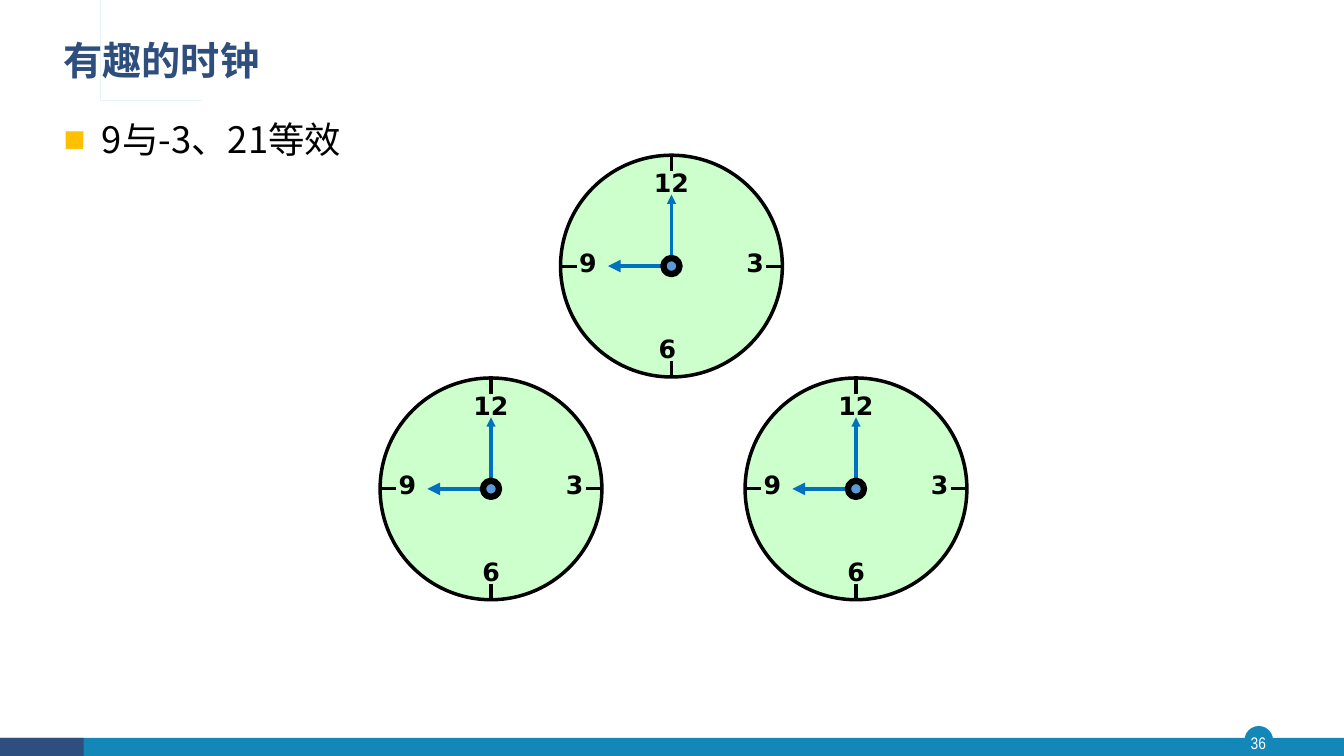
from lxml.etree import SubElement
from pptx import Presentation
from pptx.dml.color import RGBColor
from pptx.enum.shapes import MSO_CONNECTOR, MSO_SHAPE
from pptx.enum.text import MSO_ANCHOR, MSO_AUTO_SIZE, PP_ALIGN
from pptx.oxml.ns import qn
from pptx.util import Inches, Pt

BLACK, HAND, TEAL, NAVY = "000000", "0070C0", "1387B7", "2E4E7E"
CJK = "Noto Sans CJK SC"
CLOCK_SIZE = 2.2


def rgb(value):
    return RGBColor.from_string(value)


def write(tf, text, size, font, color, bold=False, align=PP_ALIGN.LEFT,
          anchor=MSO_ANCHOR.TOP, inset=None):
    tf.word_wrap = True
    tf.auto_size = MSO_AUTO_SIZE.NONE
    tf.vertical_anchor = anchor
    if inset is not None:
        tf.margin_left = tf.margin_right = Inches(inset)
        tf.margin_top = tf.margin_bottom = Inches(inset)
    p = tf.paragraphs[0]
    p.alignment = align
    r = p.add_run()
    r.text = text
    r.font.size, r.font.name, r.font.bold = Pt(size), font, bold
    r.font.color.rgb = rgb(color)
    SubElement(r.font._element, qn("a:ea"), typeface=font)
    return p


def add_label(slide, text, x, y, w, h, **style):
    sp = slide.shapes.add_textbox(Inches(x), Inches(y), Inches(w), Inches(h))
    write(sp.text_frame, text, **style)


def paint(sp, fill, line=None, width=1):
    sp.shadow.inherit = False
    sp.fill.solid()
    sp.fill.fore_color.rgb = rgb(fill)
    if line:
        sp.line.color.rgb = rgb(line)
        sp.line.width = Pt(width)
    else:
        sp.line.fill.background()


def add_shape(slide, kind, x, y, w, h, fill, **line):
    sp = slide.shapes.add_shape(kind, Inches(x), Inches(y), Inches(w), Inches(h))
    paint(sp, fill, **line)


def add_line(slide, x1, y1, x2, y2, color, width, arrow=False):
    line = slide.shapes.add_connector(
        MSO_CONNECTOR.STRAIGHT, Inches(x1), Inches(y1), Inches(x2), Inches(y2))
    line.line.color.rgb = rgb(color)
    line.line.width = Pt(width)
    if arrow:
        SubElement(line.line._get_or_add_ln(), qn("a:tailEnd"), type="triangle")
    SubElement(line._element.spPr, qn("a:effectLst"))


def add_footer(slide, x, y, w, h, number):
    add_shape(slide, MSO_SHAPE.OVAL, x + 12.35, y - 0.11, 0.27, 0.27, TEAL, line=TEAL)
    add_shape(slide, MSO_SHAPE.RECTANGLE, x, y, w, h, TEAL)
    add_shape(slide, MSO_SHAPE.RECTANGLE, x, y, 0.83, h, NAVY)
    add_label(slide, number, x + 12.32, y - 0.11, 0.32, 0.31, size=12,
              font="Arial Narrow", color="FFFFFF", align=PP_ALIGN.CENTER,
              anchor=MSO_ANCHOR.MIDDLE, inset=0)


def add_title_mark(slide, x, y):
    outline = [(0.18, 0), (0.18, 0.46), (1.52, 0.46), (1.52, 0.48), (0.16, 0.48),
               (0.16, 0.02), (0.11, 0.02), (0.11, 0.48), (0, 0.48), (0, 0),
               (0.03, 0), (0.03, 0.45), (0.08, 0.45), (0.08, 0)]
    points = [(x + dx, y + dy) for dx, dy in outline]
    builder = slide.shapes.build_freeform(*points[0], scale=Inches(1))
    builder.add_line_segments(points[1:], close=True)
    paint(builder.convert_to_shape(), "28A9D6")


def place(sp, x, y, w, h):
    sp.left, sp.top, sp.width, sp.height = map(Inches, (x, y, w, h))


def add_title(slide, x, y, w, h, text):
    title = slide.shapes.title
    place(title, x, y, w, h)
    p = write(title.text_frame, text, 28, CJK, NAVY, bold=True,
              anchor=MSO_ANCHOR.MIDDLE)
    p.line_spacing = 0.9


def add_body(slide, x, y, w, h, text):
    body = slide.placeholders[1]
    place(body, x, y, w, h)
    p = write(body.text_frame, text, 26, CJK, BLACK, align=PP_ALIGN.JUSTIFY)
    pPr = p._p.get_or_add_pPr()
    pPr.set("marL", str(Inches(0.38)))
    pPr.set("indent", str(Inches(-0.38)))
    SubElement(SubElement(pPr, qn("a:buClr")), qn("a:srgbClr"), val="FFC000")
    SubElement(pPr, qn("a:buFont"), typeface="Arial")
    SubElement(pPr, qn("a:buChar"), char="■")
    p.line_spacing = 1.2
    p.space_before = Pt(0)


def add_clock(slide, x, y, six_shift=0):
    """Draw a clock at nine o'clock; six_shift moves the 6 sideways."""
    radius = CLOCK_SIZE / 2
    cx, cy = x + radius, y + radius
    add_shape(slide, MSO_SHAPE.OVAL, x, y, CLOCK_SIZE, CLOCK_SIZE, "CCFFCC",
              line=BLACK, width=2.5)
    for dx, dy in [(-1, 0), (1, 0), (0, 1), (0, -1)]:
        inner = radius - 0.16
        add_line(slide, cx + dx * inner, cy + dy * inner,
                 cx + dx * radius, cy + dy * radius, BLACK, 2.25)
    numerals = [("12", 0, -0.83, 0.7), ("3", 0.83, -0.04, 0.55),
                ("6", six_shift, 0.82, 0.55), ("9", -0.83, -0.04, 0.55)]
    for text, dx, dy, w in numerals:
        add_label(slide, text, cx + dx - w / 2, cy + dy - 0.2, w, 0.4, size=18,
                  font="DejaVu Sans", color=BLACK, bold=True, align=PP_ALIGN.CENTER)
    add_line(slide, cx, cy, cx - 0.63, cy, HAND, 3, arrow=True)
    add_line(slide, cx, cy, cx, cy - 0.71, HAND, 2.25, arrow=True)
    add_shape(slide, MSO_SHAPE.OVAL, cx - 0.08, cy - 0.08, 0.16, 0.16, "5B9BD5",
              line=BLACK, width=4.5)


def main():
    prs = Presentation()
    prs.slide_width, prs.slide_height = Inches(13.33), Inches(7.5)
    slide = prs.slides.add_slide(prs.slide_layouts[1])
    add_footer(slide, 0, 7.32, 13.33, 0.18, "36")
    add_title_mark(slide, 0.36, 0.39)
    add_title(slide, 0.53, 0.28, 11.5, 0.68, "有趣的时钟")
    add_body(slide, 0.53, 1.03, 11.5, 6.16, "9与-3、21等效")
    add_clock(slide, 7.39, 3.75)
    add_clock(slide, 3.77, 3.75)
    add_clock(slide, 5.56, 1.54, six_shift=-0.04)
    prs.save("out.pptx")


if __name__ == "__main__":
    main()
